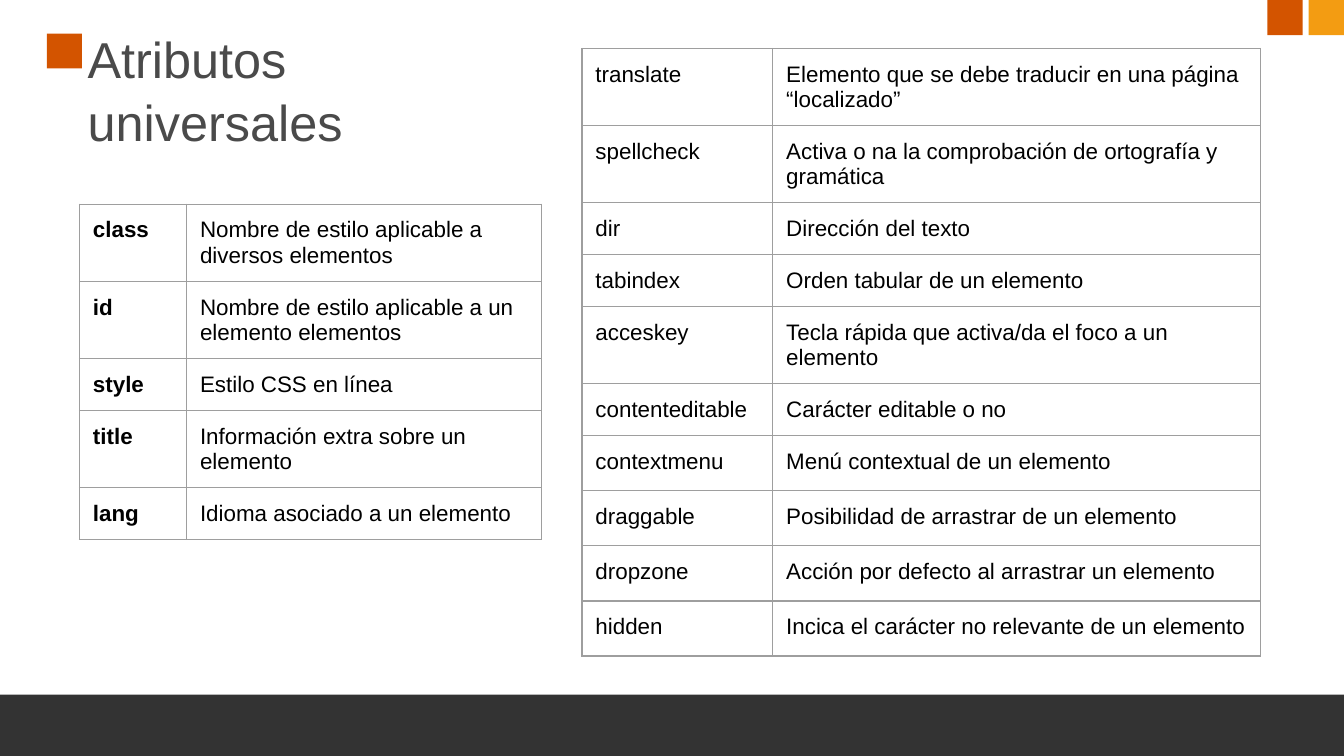
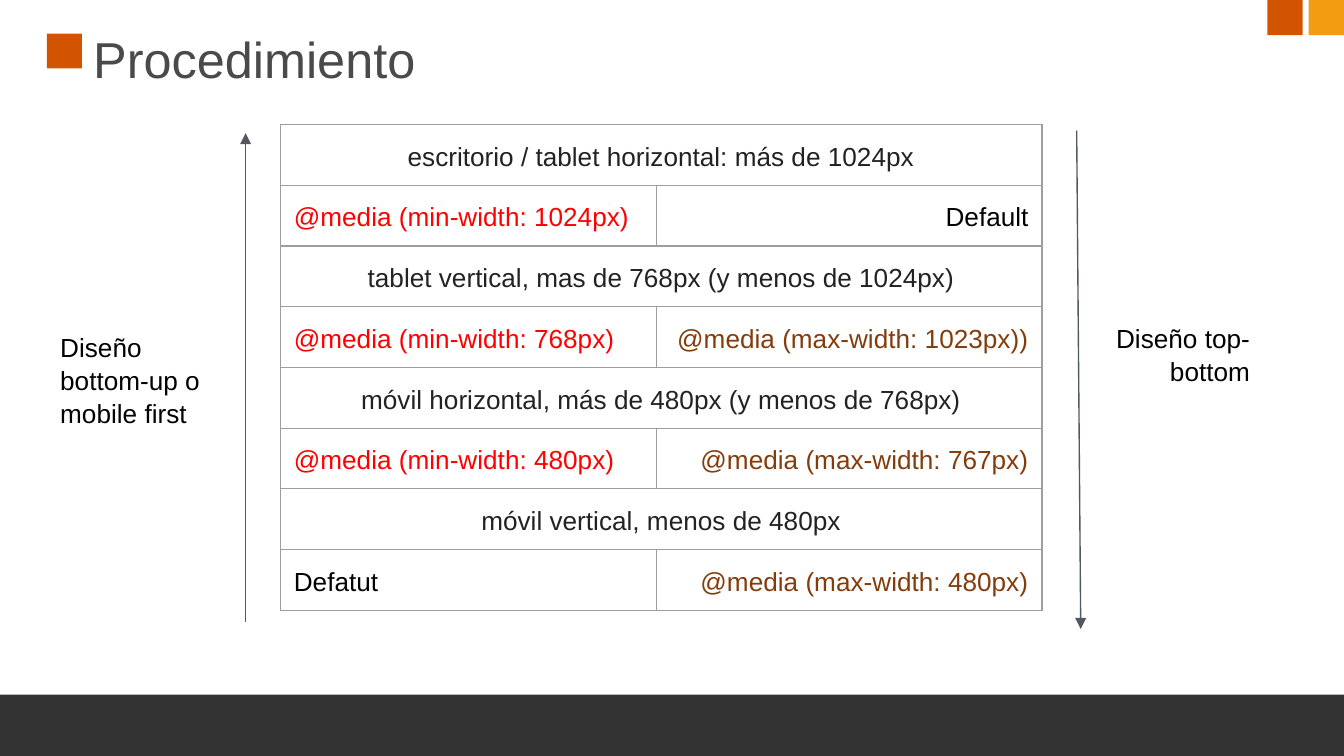
from dataclasses import dataclass

from lxml.etree import SubElement
from pptx import Presentation
from pptx.dml.color import RGBColor
from pptx.enum.shapes import MSO_CONNECTOR, MSO_SHAPE
from pptx.enum.text import MSO_ANCHOR, MSO_AUTO_SIZE, PP_ALIGN
from pptx.oxml.ns import qn
from pptx.util import Pt


@dataclass(frozen=True)
class Theme:
    font: str = "Arial"
    paper: str = "FFFFFF"
    accent: str = "D35400"
    amber: str = "F39C12"
    band: str = "333333"
    head: str = "4A4A4A"
    ink: str = "000000"
    level: str = "222222"
    rise: str = "FF0000"
    fall: str = "843C0C"
    grid: str = "9E9E9E"
    arrow: str = "53585F"
    title: float = 27
    body: float = 14
    small: float = 12
    hair: float = 0.75
    lead: float = 1.05
    loose: float = 1.15


LEFT, MID, RIGHT = PP_ALIGN.LEFT, PP_ALIGN.CENTER, PP_ALIGN.RIGHT


def color(code):
    return RGBColor.from_string(code)


class Deck:
    def __init__(self, theme):
        self.theme = theme
        self.show = Presentation()
        self.show.slide_width, self.show.slide_height = Pt(720), Pt(405)
        self.slide = None

    # Slide with its shared squares, footer band and title
    def page(self, title, left, width, height):
        t = self.theme
        self.slide = self.show.slides.add_slide(self.show.slide_layouts[5])
        self.slide.background.fill.solid()
        self.slide.background.fill.fore_color.rgb = color(t.paper)
        self.block(25.2, 18, 18.7, 18.7, t.accent)
        self.block(-2, 372.2, 723.6, 33, t.band)
        self.block(679, 0, 18.9, 18.9, t.accent)
        self.block(701, 0, 18.9, 18.9, t.amber)
        box = self.slide.shapes.title
        box.left, box.top, box.width, box.height = map(Pt, (left, 8.8, width, height))
        self.slide.shapes.element.append(box.element)
        self.frame(box.text_frame, 4.5, MSO_ANCHOR.TOP)
        self.text(box.text_frame, title, t.title, t.head, space=t.lead)

    def block(self, left, top, width, height, fill):
        box = self.slide.shapes.add_shape(
            MSO_SHAPE.RECTANGLE, Pt(left), Pt(top), Pt(width), Pt(height))
        box.shadow.inherit = False
        box.fill.solid()
        box.fill.fore_color.rgb = color(fill)
        box.line.fill.background()

    def frame(self, frame, inset, anchor):
        frame.word_wrap = True
        frame.auto_size = MSO_AUTO_SIZE.NONE
        frame.vertical_anchor = anchor
        frame.margin_left = frame.margin_right = Pt(inset)
        frame.margin_top = frame.margin_bottom = Pt(inset)

    def text(self, frame, words, size, ink, align=LEFT, bold=False, space=None):
        para = frame.paragraphs[0]
        para.alignment = align
        if space:
            para.line_spacing = space
        run = para.add_run()
        run.text = words
        run.font.name, run.font.size = self.theme.font, Pt(size)
        run.font.bold = bold
        run.font.color.rgb = color(ink)

    def label(self, left, top, words, align):
        t = self.theme
        box = self.slide.shapes.add_textbox(Pt(left), Pt(top), Pt(93.6), Pt(86.4))
        self.frame(box.text_frame, 7.2, MSO_ANCHOR.MIDDLE)
        box.text_frame.margin_bottom = Pt(24)
        self.text(box.text_frame, words, t.body, t.ink, align, space=t.lead)

    def arrow(self, x1, y1, x2, y2):
        line = self.slide.shapes.add_connector(
            MSO_CONNECTOR.STRAIGHT, Pt(x1), Pt(y1), Pt(x2), Pt(y2))
        line.line.color.rgb = color(self.theme.arrow)
        line.line.width = Pt(self.theme.hair)
        props = line.element.spPr
        SubElement(props.find(qn("a:ln")), qn("a:tailEnd"), type="triangle")
        SubElement(props, qn("a:effectLst"))

    # Empty grid: thin borders and no banding
    def grid(self, left, top, cols, rows):
        table = self.slide.shapes.add_table(
            len(rows), len(cols), Pt(left), Pt(top), Pt(sum(cols)), Pt(sum(rows))).table
        table.first_row = table.horz_banding = False
        for col, width in zip(table.columns, cols):
            col.width = Pt(width)
        for row, height in zip(table.rows, rows):
            row.height = Pt(height)
        for cell in table.iter_cells():
            self.edge(cell)
        return table

    def edge(self, cell):
        cell.margin_left = cell.margin_right = Pt(7.2)
        cell.margin_top = cell.margin_bottom = Pt(7.2)
        props = cell._tc.get_or_add_tcPr()
        for side in "LRTB":
            line = SubElement(props, qn(f"a:ln{side}"), w=str(Pt(self.theme.hair)))
            fill = SubElement(line, qn("a:solidFill"))
            SubElement(fill, qn("a:srgbClr"), val=self.theme.grid)
        cell.fill.background()

    # Two columns: attribute name and its meaning
    def terms(self, left, top, cols, rows, pairs, bold=False):
        t = self.theme
        table = self.grid(left, top, cols, rows)
        for i, (name, sense) in enumerate(pairs):
            self.text(table.cell(i, 0).text_frame, name, t.small, t.ink, bold=bold)
            self.text(table.cell(i, 1).text_frame, sense, t.small, t.ink)

    # Each level: a merged heading over its two rules
    def levels(self, left, top, cols, height, items):
        t = self.theme
        table = self.grid(left, top, cols, [height] * (2 * len(items)))
        for i, (head, rise, fall) in enumerate(items):
            first = table.cell(2 * i, 0)
            first.merge(table.cell(2 * i, 1))
            cells = ((first, head, t.level, MID),
                     (table.cell(2 * i + 1, 0), rise, t.rise, LEFT),
                     (table.cell(2 * i + 1, 1), fall, t.fall, RIGHT))
            for cell, words, ink, align in cells:
                plain = words in ("Default", "Defatut")
                self.text(cell.text_frame, words, t.body, t.ink if plain else ink,
                          align, space=t.loose)


COMMON = [
    ("class", "Nombre de estilo aplicable a diversos elementos"),
    ("id", "Nombre de estilo aplicable a un elemento elementos"),
    ("style", "Estilo CSS en línea"),
    ("title", "Información extra sobre un elemento"),
    ("lang", "Idioma asociado a un elemento"),
]
OTHERS = [
    ("translate", "Elemento que se debe traducir en una página “localizado”"),
    ("spellcheck", "Activa o na la comprobación de ortografía y gramática"),
    ("dir", "Dirección del texto"),
    ("tabindex", "Orden tabular de un elemento"),
    ("acceskey", "Tecla rápida que activa/da el foco a un elemento"),
    ("contenteditable", "Carácter editable o no"),
    ("contextmenu", "Menú contextual de un elemento"),
    ("draggable", "Posibilidad de arrastrar de un elemento"),
    ("dropzone", "Acción por defecto al arrastrar un elemento"),
    ("hidden", "Incica el carácter no relevante de un elemento"),
]
LEVELS = [
    ("escritorio / tablet horizontal: más de 1024px",
     "@media (min-width: 1024px)", "Default"),
    ("tablet vertical, mas de 768px (y menos de 1024px)",
     "@media (min-width: 768px)", "@media (max-width: 1023px))"),
    ("móvil horizontal, más de 480px (y menos de 768px)",
     "@media (min-width: 480px)", "@media (max-width: 767px)"),
    ("móvil vertical, menos de 480px",
     "Defatut", "@media (max-width: 480px)"),
]


def main():
    deck = Deck(Theme())

    # Universal attributes
    deck.page("Atributos universales", 42.4, 190.8, 79.2)
    deck.terms(311.8, 26, (102.2, 261.4), [25.2] * 6 + [29.5] * 4, OTHERS)
    deck.terms(42.6, 109.4, (57.4, 190.2), (33.8, 23, 23, 24.5, 23.8), COMMON, bold=True)

    # Media query procedure
    deck.page("Procedimiento", 45.4, 617, 42.5)
    deck.levels(150.2, 66.8, (201.6, 206.4), 30.2, LEVELS)
    deck.label(25.2, 168.5, "Diseño bottom-up o mobile first", LEFT)
    deck.label(583.2, 154.8, "Diseño top-bottom", RIGHT)
    deck.arrow(131.6, 333.4, 131.6, 71.3)
    deck.arrow(576.8, 70, 579, 337)

    deck.show.save("out.pptx")


if __name__ == "__main__":
    main()
